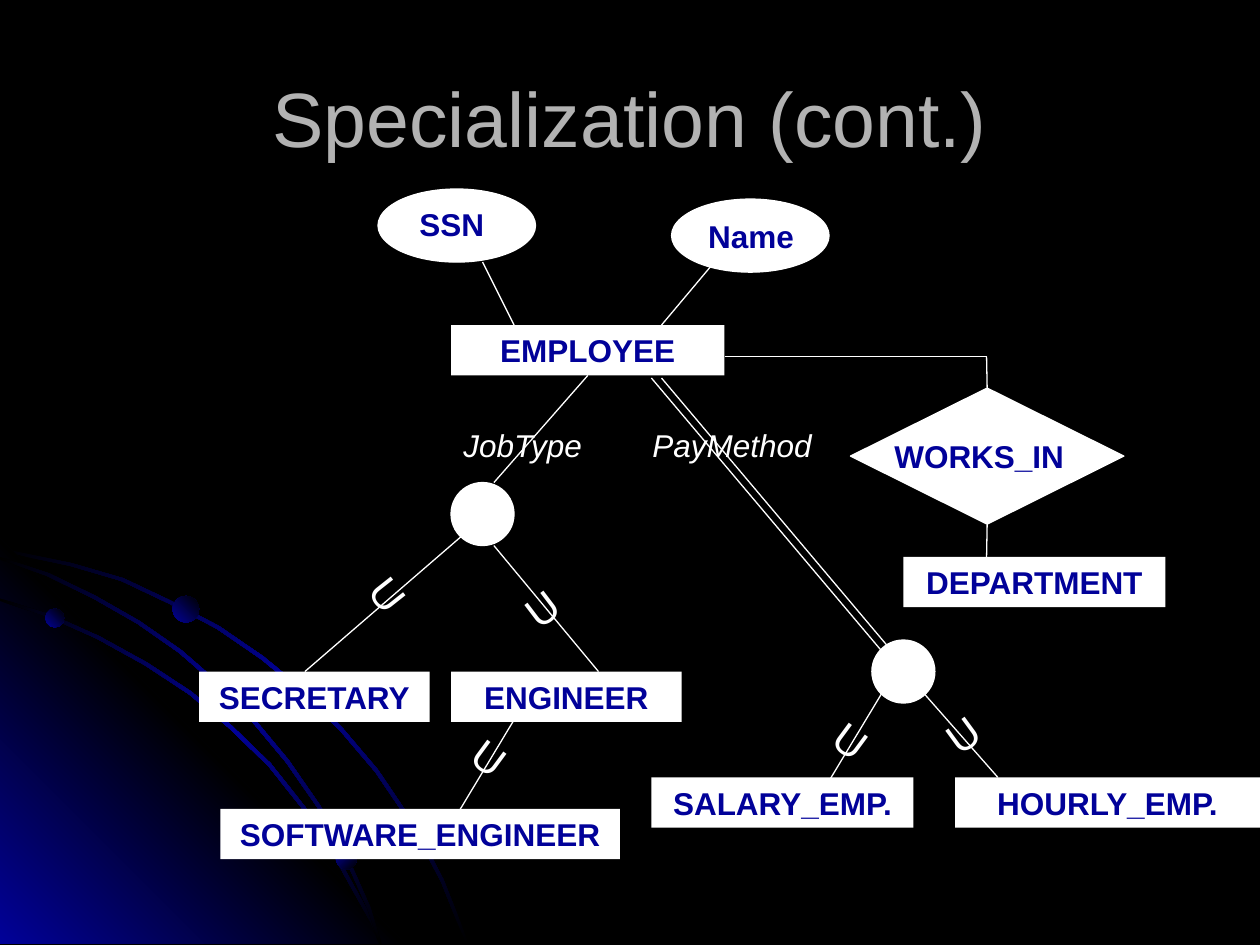
import copy

import pptx
import pptx.dml.color
import pptx.enum.shapes
import pptx.enum.text
import pptx.oxml
import pptx.oxml.ns
import pptx.util

Inches = pptx.util.Inches
RGBColor = pptx.dml.color.RGBColor
Shape = pptx.enum.shapes.MSO_SHAPE
Align = pptx.enum.text.PP_ALIGN
Anchor = pptx.enum.text.MSO_ANCHOR

BLACK = RGBColor(0x00, 0x00, 0x00)
WHITE = RGBColor(0xFF, 0xFF, 0xFF)
NAVY = RGBColor(0x01, 0x01, 0x99)
GRAY = RGBColor(0xB2, 0xB2, 0xB2)
FONT = "Arial"
BOTTOM = 7.49

# Background decoration: the upper edge of each arc, then the planets
OUTER_ARC = [(0, 4.35), (0.28, 4.41), (0.57, 4.47), (0.98, 4.59), (1.36, 4.77),
             (1.74, 4.97), (2.09, 5.21), (2.42, 5.48), (2.72, 5.78), (3, 6.11),
             (3.25, 6.48), (3.39, 6.73), (3.52, 6.98), (3.62, 7.23), (3.72, BOTTOM)]
INNER_ARC = [(0, 4.75), (0.41, 4.88), (0.79, 5.05), (1.17, 5.26), (1.52, 5.49),
             (1.84, 5.76), (2.15, 6.06), (2.42, 6.4), (2.66, 6.76), (2.86, 7.12),
             (2.96, 7.3), (3.03, BOTTOM)]
MIDDLE_ARC = [(0, 4.42), (0.39, 4.55), (0.76, 4.73), (1.11, 4.93), (1.44, 5.16),
              (1.75, 5.43), (2.04, 5.73), (2.29, 6.03), (2.54, 6.39), (2.69, 6.65),
              (2.82, 6.93), (2.94, 7.2), (3.03, BOTTOM)]
ARC_WIDTH = 0.02
CORNER_GLOW = [(0, 4.27), (3.22, BOTTOM), (0, BOTTOM)]
PLANETS = [(0.36, 4.83, 0.15, 45), (2.67, 6.74, 0.16, 315), (1.37, 4.73, 0.21, 45)]

# Entities: name, left, top, width
ENTITY_HEIGHT = 0.4
ENTITIES = [
    ("EMPLOYEE", 3.58, 2.58, 2.17),
    ("DEPARTMENT", 7.17, 4.42, 2.08),
    ("SECRETARY", 1.58, 5.33, 1.83),
    ("ENGINEER", 3.58, 5.33, 1.83),
    ("SALARY_EMP.", 5.17, 6.17, 2.08),
    ("HOURLY_EMP.", 7.58, 6.17, 2.42),
    ("SOFTWARE_ENGINEER", 1.75, 6.42, 3.17),
]
ATTRIBUTES = [(3, 1.5), (5.33, 1.58)]
SPLITS = [(3.58, 3.83), (6.92, 5.08)]

# Lines: from, to
LINES = [
    ((5.67, 2.08), (5.25, 2.58)),
    ((3.83, 2.08), (4.08, 2.58)),
    ((5.75, 2.83), (7.83, 2.83)),
    ((2.42, 5.33), (3.67, 4.25)),
    ((3.92, 4.33), (4.75, 5.33)),
    ((5.17, 3), (7, 5.17)),
    ((5.25, 3), (7.08, 5.17)),
    ((6.5, 6.33), (7, 5.5)),
    ((7.33, 5.5), (7.92, 6.17)),
    ((3.63, 6.46), (4.13, 5.63)),
]

# Labels: text, left, top, width, format
NAME = dict(bold=True, color=NAVY)
ROLE = dict(italic=True, color=WHITE, align=Align.LEFT)
LABELS = [
    ("SSN", 3.17, 1.58, 0.83, NAME),
    ("Name", 5.5, 1.67, 0.92, NAME),
    ("WORKS_IN", 7, 3.42, 1.67, dict(NAME, align=Align.LEFT)),
    ("JobType", 3.58, 3.33, 1.33, ROLE),
    ("PayMethod", 5.08, 3.33, 1.58, ROLE),
]
# Subset signs: left, top, rotation
SUBSETS = [(2.87, 4.46, 51.6), (6.54, 5.62, 36.4), (4.08, 4.58, 322.8),
           (7.42, 5.58, 323.7), (3.67, 5.75, 36.4)]

deck = pptx.Presentation()
deck.slide_width, deck.slide_height = Inches(10), Inches(7.5)
page = deck.slides.add_slide(deck.slide_layouts[6])
page.background.fill.solid()
page.background.fill.fore_color.rgb = BLACK


def write(shape, text, size=18, color=WHITE, bold=False, italic=False,
          align=Align.CENTER, anchor=Anchor.TOP):
    frame = shape.text_frame
    frame.word_wrap = True
    frame.vertical_anchor = anchor
    para = frame.paragraphs[0]
    para.alignment = align
    span = para.add_run()
    span.text = text
    span.font.name, span.font.size = FONT, pptx.util.Pt(size)
    span.font.bold, span.font.italic = bold, italic
    span.font.color.rgb = color


def add_label(text, left, top, width, height, **style):
    box = page.shapes.add_textbox(*map(Inches, (left, top, width, height)))
    write(box, text, **style)
    return box


def add_white(kind, left, top, width, height, outlined=True):
    shape = page.shapes.add_shape(kind, *map(Inches, (left, top, width, height)))
    shape.shadow.inherit = False
    shape.fill.solid()
    shape.fill.fore_color.rgb = WHITE
    if outlined:
        shape.line.color.rgb = WHITE
        shape.line.width = pptx.util.Pt(0.75)
    else:
        shape.line.fill.background()
    return shape


def shade(shape, colors, angle):
    """Fill with evenly spaced gradient colours; the angle is counter-clockwise."""
    shape.shadow.inherit = False
    shape.line.fill.background()
    shape.fill.gradient()
    shape.fill.gradient_angle = angle
    stop_list = shape._element.spPr.find(".//" + pptx.oxml.ns.qn("a:gsLst"))
    while len(stop_list) < len(colors):
        stop_list.append(copy.deepcopy(stop_list[0]))
    for index, (stop, color) in enumerate(zip(shape.fill.gradient_stops, colors)):
        stop.position = index / (len(colors) - 1)
        stop.color.rgb = color


def add_outline(points):
    corners = [(Inches(x), Inches(y)) for x, y in points]
    builder = page.shapes.build_freeform(*corners[0])
    builder.add_line_segments(corners[1:], close=True)
    return builder.convert_to_shape()


def add_arc(upper):
    lower = [(max(x - ARC_WIDTH, 0), min(y + ARC_WIDTH, BOTTOM)) for x, y in upper]
    shade(add_outline(upper + lower[::-1]), [BLACK, NAVY, BLACK], 315)


def add_line(start, end):
    line = page.shapes.add_connector(pptx.enum.shapes.MSO_CONNECTOR.STRAIGHT,
                                     *map(Inches, start + end))
    line.line.color.rgb = WHITE
    line.line.width = pptx.util.Pt(0.75)
    line._element.spPr.append(pptx.oxml.parse_xml(
        "<a:effectLst %s/>" % pptx.oxml.ns.nsdecls("a")))
    return line


# Decoration
add_arc(OUTER_ARC)
shade(add_outline(CORNER_GLOW), [NAVY, BLACK, NAVY], 45)
add_arc(INNER_ARC)
add_arc(MIDDLE_ARC)
for left, top, size, angle in PLANETS:
    planet = page.shapes.add_shape(Shape.OVAL, *map(Inches, (left, top, size, size)))
    shade(planet, [NAVY, BLACK], angle)

add_label("Specialization (cont.)", 0.5, 0.3, 9, 1.25,
          size=44, color=GRAY, anchor=Anchor.MIDDLE)

# Entities, attributes, relationship and specialization circles
entities = {}
for name, left, top, width in ENTITIES:
    entities[name] = add_white(Shape.RECTANGLE, left, top, width, ENTITY_HEIGHT,
                               outlined=False)
    write(entities[name], name, **NAME)
for left, top in ATTRIBUTES:
    add_white(Shape.OVAL, left, top, 1.25, 0.58)
works_in = add_white(Shape.FLOWCHART_DECISION, 6.75, 3.08, 2.17, 1.08)
for left, top in SPLITS:
    add_white(Shape.OVAL, left, top, 0.5, 0.5)

# Lines, joined where they meet the middle of a side
for start, end in LINES:
    add_line(start, end)
add_line((4.67, 3), (3.92, 3.83)).begin_connect(entities["EMPLOYEE"], 2)
add_line((7.83, 2.83), (7.83, 3.08)).end_connect(works_in, 0)
add_line((7.83, 4.17), (7.83, 4.42)).begin_connect(works_in, 2)

# Labels and subset signs
for text, left, top, width, style in LABELS:
    add_label(text, left, top, width, 0.4, **style)
for left, top, turn in SUBSETS:
    add_label("U", left, top, 0.42, 0.5, size=24).rotation = turn

deck.save("out.pptx")
